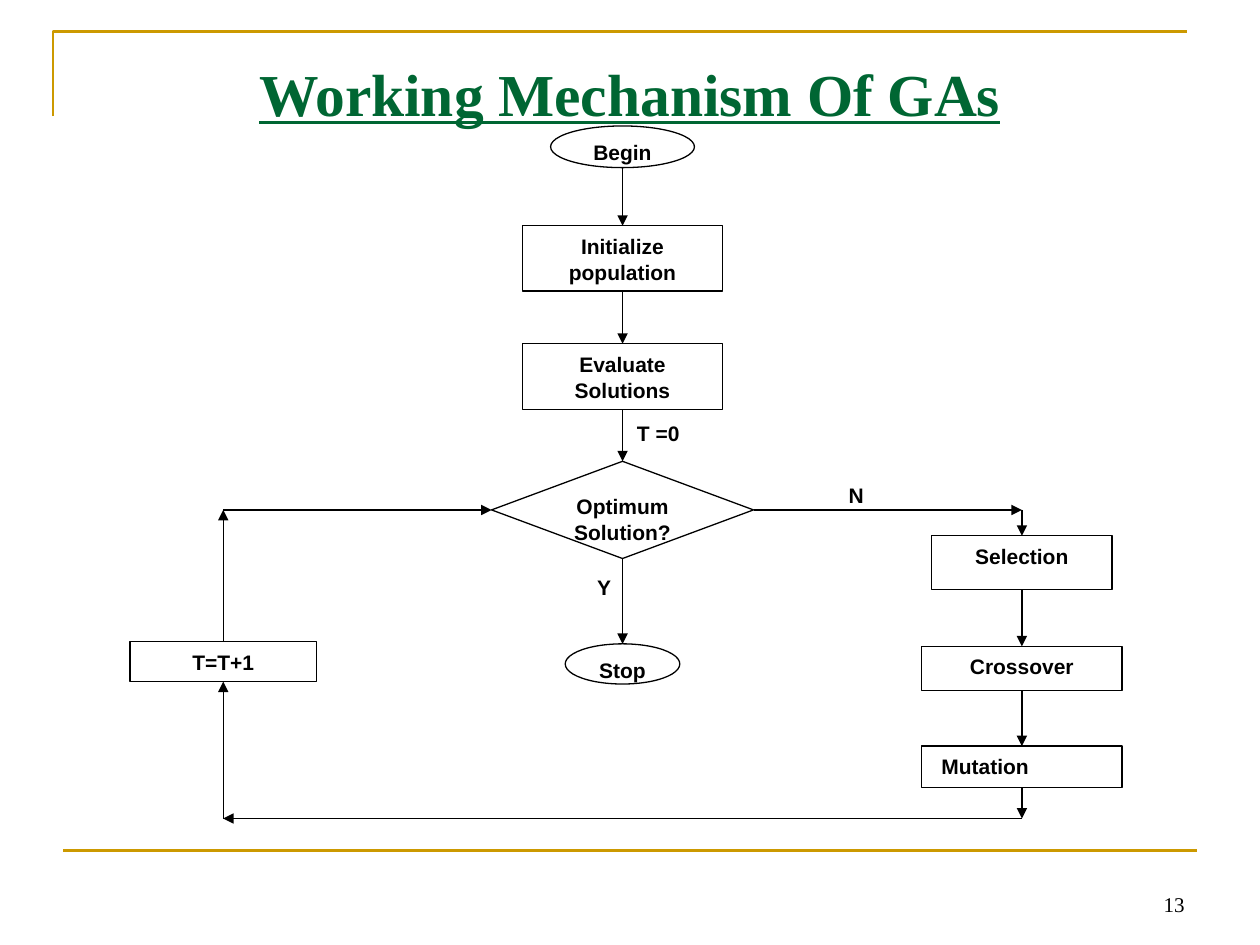
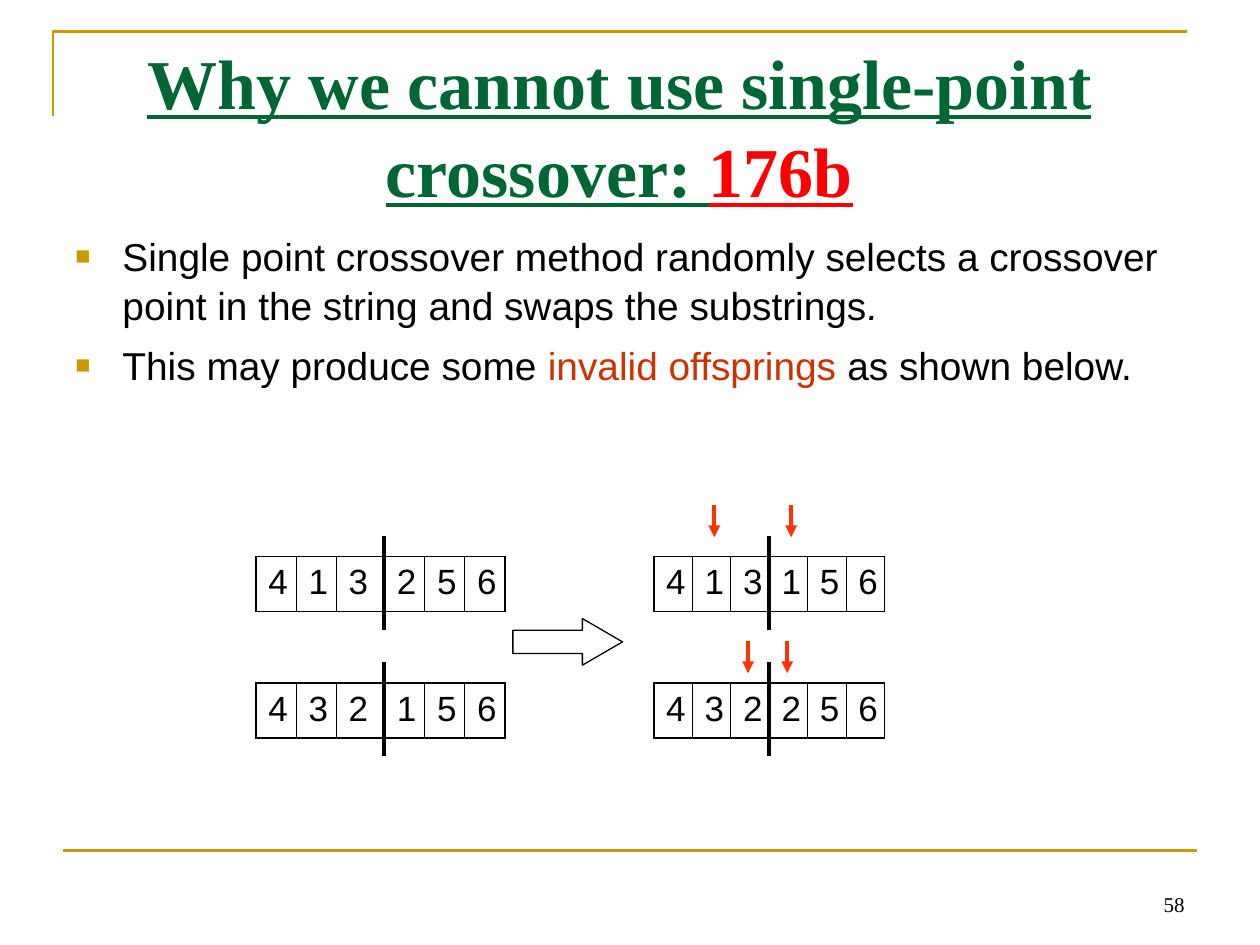
from dataclasses import dataclass

from lxml.etree import SubElement
from pptx import Presentation
from pptx.dml.color import RGBColor
from pptx.enum.shapes import MSO_CONNECTOR, MSO_SHAPE
from pptx.enum.text import MSO_ANCHOR, PP_ALIGN
from pptx.oxml.ns import qn
from pptx.util import Cm, Pt

GOLD, GREEN, BLACK, WHITE = "CC9900", "006633", "000000", "FFFFFF"
RED, RUST, ORANGE = "FF0000", "CC3300", "FF3300"
SANS, SERIF = "Arial", "Times New Roman"
TOP, LEFT, BOTTOM, RIGHT = range(4)
LINE_SPACING = 1.05
INSETS = (0.25, 0.13, 0.25, 0.13)


@dataclass
class Box:
    """Hold a rectangle in centimetres."""
    left: float
    top: float
    width: float
    height: float

    def inner(self, left, top, width, height):
        """Return a rectangle placed relative to this one."""
        return Box(self.left + left, self.top + top, width, height)

    def point(self, across, down):
        """Return a point placed relative to this rectangle."""
        return self.left + across, self.top + down

    def lengths(self):
        """Return the four lengths that a shape takes."""
        return Cm(self.left), Cm(self.top), Cm(self.width), Cm(self.height)


def colour(value):
    """Turn a hex string into a colour."""
    return RGBColor.from_string(value)


def set_frame(frame, insets=INSETS, anchor=MSO_ANCHOR.TOP):
    """Set wrapping, insets and anchor of a text frame."""
    frame.word_wrap = True
    frame.vertical_anchor = anchor
    frame.margin_left, frame.margin_top, frame.margin_right, frame.margin_bottom = map(Cm, insets)


def add_span(para, text, size, font=SANS, color=BLACK, **marks):
    """Add one run with its font settings."""
    span = para.add_run()
    span.text = text
    span.font.size = Pt(size)
    span.font.name = font
    span.font.color.rgb = colour(color)
    for mark, value in marks.items():
        setattr(span.font, mark, value)


def start_para(para, align=PP_ALIGN.LEFT):
    """Set alignment and line spacing of a paragraph."""
    para.alignment = align
    para.line_spacing = LINE_SPACING
    return para


def add_text_box(page, box, insets=INSETS, anchor=MSO_ANCHOR.TOP):
    """Add an empty text box and return its frame."""
    frame = page.shapes.add_textbox(*box.lengths()).text_frame
    set_frame(frame, insets, anchor)
    return frame


def add_outlined(page, kind, box):
    """Add a white shape with a thin black outline."""
    shape = page.shapes.add_shape(kind, *box.lengths())
    shape.shadow.inherit = False
    shape.fill.solid()
    shape.fill.fore_color.rgb = colour(WHITE)
    shape.line.color.rgb = colour(BLACK)
    shape.line.width = Pt(0.75)
    return shape


def add_line(page, start, end, color=BLACK, width=0.75, arrow=True):
    """Draw a line between two points or (shape, side) joints."""
    joints = [not isinstance(stop[0], (int, float)) for stop in (start, end)]
    ends = [(0, 0) if joint else stop for stop, joint in zip((start, end), joints)]
    (x1, y1), (x2, y2) = ends
    line = page.shapes.add_connector(MSO_CONNECTOR.STRAIGHT, Cm(x1), Cm(y1), Cm(x2), Cm(y2))
    if joints[0]:
        line.begin_connect(*start)
    if joints[1]:
        line.end_connect(*end)
    line.line.color.rgb = colour(color)
    line.line.width = Pt(width)
    if arrow:
        SubElement(line.line._get_or_add_ln(), qn("a:tailEnd"), type="triangle")
    SubElement(line._element.spPr, qn("a:effectLst"))


def draw_frame(page, box, number):
    """Draw the corner bracket, bottom rule and page number."""
    corners = [box.point(*offset) for offset in ((0, 1.7), (0, 0), (22.86, 0))]
    points = [(Cm(x), Cm(y)) for x, y in corners]
    builder = page.shapes.build_freeform(*points[0])
    builder.add_line_segments(points[1:], close=False)
    bracket = builder.convert_to_shape()
    bracket.shadow.inherit = False
    bracket.fill.background()
    bracket.line.color.rgb = colour(GOLD)
    bracket.line.width = Pt(1.5)
    add_line(page, box.point(0.2, 16.51), box.point(23.06, 16.51), GOLD, 1.5, False)
    frame = add_text_box(page, box.inner(17.14, 16.71, 5.92, 1.27), anchor=MSO_ANCHOR.BOTTOM)
    add_span(start_para(frame.paragraphs[0], PP_ALIGN.RIGHT), str(number), 12, SERIF)


def draw_title(page, box, size, spans):
    """Write the underlined title from (text, colour) spans."""
    para = start_para(add_text_box(page, box, (0, 0, 0, 0)).paragraphs[0], PP_ALIGN.CENTER)
    for text, color in spans:
        add_span(para, text, size, SERIF, color, bold=True, underline=True)


def draw_flowchart(page, box):
    """Draw the loop of the genetic algorithm."""
    counter_x, main_x, operator_x = 1.86, 9.91, 17.96
    loop_top, loop_bottom = 7.74, 13.96
    oval, process = MSO_SHAPE.FLOWCHART_CONNECTOR, MSO_SHAPE.FLOWCHART_PROCESS

    def add_step(text, kind, centre, top, width, height):
        """Add one labelled step centred on its column."""
        step = add_outlined(page, kind, box.inner(centre - width / 2, top, width, height))
        set_frame(step.text_frame)
        para = start_para(step.text_frame.paragraphs[0], PP_ALIGN.CENTER)
        add_span(para, text, 12, bold=True)
        return step

    add_step("Begin", oval, main_x, 0, 2.9, 0.84)
    initialize = add_step("Initialize population", process, main_x, 2.01, 4.04, 1.32)
    evaluate = add_step("Evaluate Solutions", process, main_x, 4.39, 4.04, 1.32)
    optimum = add_step("Optimum Solution?", MSO_SHAPE.FLOWCHART_DECISION, main_x, 6.76, 5.28, 1.96)
    stop = add_step("Stop", oval, main_x, 10.44, 2.31, 0.81)
    counter = add_step("T=T+1", process, counter_x, 10.39, 3.76, 0.81)
    selection = add_step("Selection", process, operator_x, 8.26, 3.63, 1.09)
    crossover = add_step("Crossover", process, operator_x, 10.49, 4.04, 0.89)
    mutation = add_step("Mutation", process, operator_x, 12.5, 4.04, 0.84)
    mutation.text_frame.paragraphs[0].alignment = PP_ALIGN.LEFT
    mutation.text_frame.margin_left = Cm(0.4)

    top_left, top_right = box.point(counter_x, loop_top), box.point(operator_x, loop_top)
    low_left, low_right = box.point(counter_x, loop_bottom), box.point(operator_x, loop_bottom)
    links = [
        (box.point(main_x, 0.84), (initialize, TOP)),
        ((initialize, BOTTOM), (evaluate, TOP)),
        ((evaluate, BOTTOM), (optimum, TOP)),
        ((optimum, BOTTOM), (stop, TOP)),
        ((optimum, RIGHT), top_right),
        (top_right, (selection, TOP)),
        ((selection, BOTTOM), (crossover, TOP)),
        ((crossover, BOTTOM), (mutation, TOP)),
        ((mutation, BOTTOM), low_right),
        (low_right, low_left),
        (low_left, (counter, BOTTOM)),
        ((counter, TOP), top_left),
        (top_left, (optimum, LEFT)),
    ]
    for start, end in links:
        add_line(page, start, end)

    for text, left, top in (("T =0", 9.68, 5.79), ("N", 13.67, 7.04), ("Y", 8.59, 8.89)):
        frame = add_text_box(page, box.inner(left, top, 1.9, 0.76))
        add_span(start_para(frame.paragraphs[0], PP_ALIGN.CENTER), text, 12, bold=True)


def draw_bullets(page, box, items):
    """Write square-bulleted paragraphs from lists of spans."""
    frame = add_text_box(page, box, (0.25, 0, 0, 0))
    for index, spans in enumerate(items):
        para = frame.add_paragraph() if index else frame.paragraphs[0]
        props = para._p.get_or_add_pPr()
        props.set("marL", str(Cm(0.95)))
        props.set("indent", str(-Cm(0.95)))
        SubElement(SubElement(props, qn("a:buClr")), qn("a:srgbClr"), val=GOLD)
        SubElement(props, qn("a:buSzPct"), val="65000")
        SubElement(props, qn("a:buFont"), typeface=SANS)
        SubElement(props, qn("a:buChar"), char="■")
        start_para(para)
        if index:
            para.space_before = Pt(6)
        for text, color, italic in spans:
            add_span(para, text, 22.2, color=color, italic=italic)


def set_borders(cell, widths):
    """Draw the four black borders of a cell."""
    props = cell._tc.get_or_add_tcPr()
    for index, (side, width) in enumerate(widths.items()):
        border = props.makeelement(qn(f"a:{side}"), {"w": str(Pt(width))})
        SubElement(SubElement(border, qn("a:solidFill")), qn("a:srgbClr"), val=BLACK)
        props.insert(index, border)


def draw_string(page, box, digits, widths):
    """Draw one gene string with the cut after its third gene."""
    thin, thick = 0.45, 1.08
    table = page.shapes.add_table(1, len(digits), *box.lengths()).table
    table.first_row = table.horz_banding = False
    table.rows[0].height = Cm(box.height)
    for index, (digit, width) in enumerate(zip(digits, widths)):
        table.columns[index].width = Cm(width)
        cell = table.cell(0, index)
        cell.fill.background()
        cell.margin_left = cell.margin_right = Cm(0.25)
        cell.margin_top = cell.margin_bottom = Cm(0.13)
        add_span(cell.text_frame.paragraphs[0], digit, 20)
        set_borders(cell, {
            "lnL": thin if index else thick,
            "lnR": thin if index < len(digits) - 1 else thick,
            "lnT": thick,
            "lnB": thick,
        })
    cut = sum(widths[:3])
    add_line(page, box.point(cut, -0.42), box.point(cut, 1.48), BLACK, 2.25, False)


def draw_crossover(page, box):
    """Draw two parents, the arrow and two invalid offspring."""
    parent_widths = [0.81, 0.81, 0.97, 0.81, 0.81, 0.81]
    child_widths = [4.65 / 6] * 6
    rows = [
        (1.06, "413256", "413156", (1.22, 2.77), 1.03),
        (3.61, "432156", "432256", (1.9, 2.69), 0.84),
    ]
    for top, parent, child, marks, rise in rows:
        draw_string(page, box.inner(0, top, sum(parent_widths), 1.09), parent, parent_widths)
        child_box = box.inner(8.02, top, sum(child_widths), 1.09)
        draw_string(page, child_box, child, child_widths)
        for mark in marks:
            start, end = child_box.point(mark, -rise), child_box.point(mark, 0.64 - rise)
            add_line(page, start, end, ORANGE, 2.25)
    arrow = add_outlined(page, MSO_SHAPE.RIGHT_ARROW, box.inner(5.18, 2.31, 2.21, 0.94))
    arrow.adjustments[0], arrow.adjustments[1] = 0.5, 0.86


def main():
    """Build and save both slides."""
    deck = Presentation()
    deck.slide_width, deck.slide_height = Cm(25.4), Cm(19.05)
    blank = deck.slide_layouts[6]
    frame_box = Box(1.07, 0.64, 23.06, 17.98)

    page = deck.slides.add_slide(blank)
    draw_frame(page, frame_box, 13)
    draw_title(page, Box(1.27, 1.07, 22.86, 1.4), 34, [("Working Mechanism Of GAs", GREEN)])
    draw_flowchart(page, Box(2.64, 2.54, 20, 14))

    page = deck.slides.add_slide(blank)
    draw_frame(page, frame_box, 58)
    draw_title(page, Box(1.27, 0.71, 22.43, 3.45), 40, [
        ("Why we cannot use single-point crossover: ", GREEN),
        ("176b", RED),
    ])
    draw_bullets(page, Box(1.27, 4.65, 22.43, 4.24), [
        [("Single point crossover method randomly selects a crossover point in the string "
          "and swaps the substrings", BLACK, False), (".", BLACK, True)],
        [("This may produce some ", BLACK, False), ("invalid offsprings", RUST, False),
         (" as shown below.", BLACK, False)],
    ])
    draw_crossover(page, Box(5.16, 10.16, 12.7, 5.2))
    deck.save("out.pptx")


if __name__ == "__main__":
    main()
